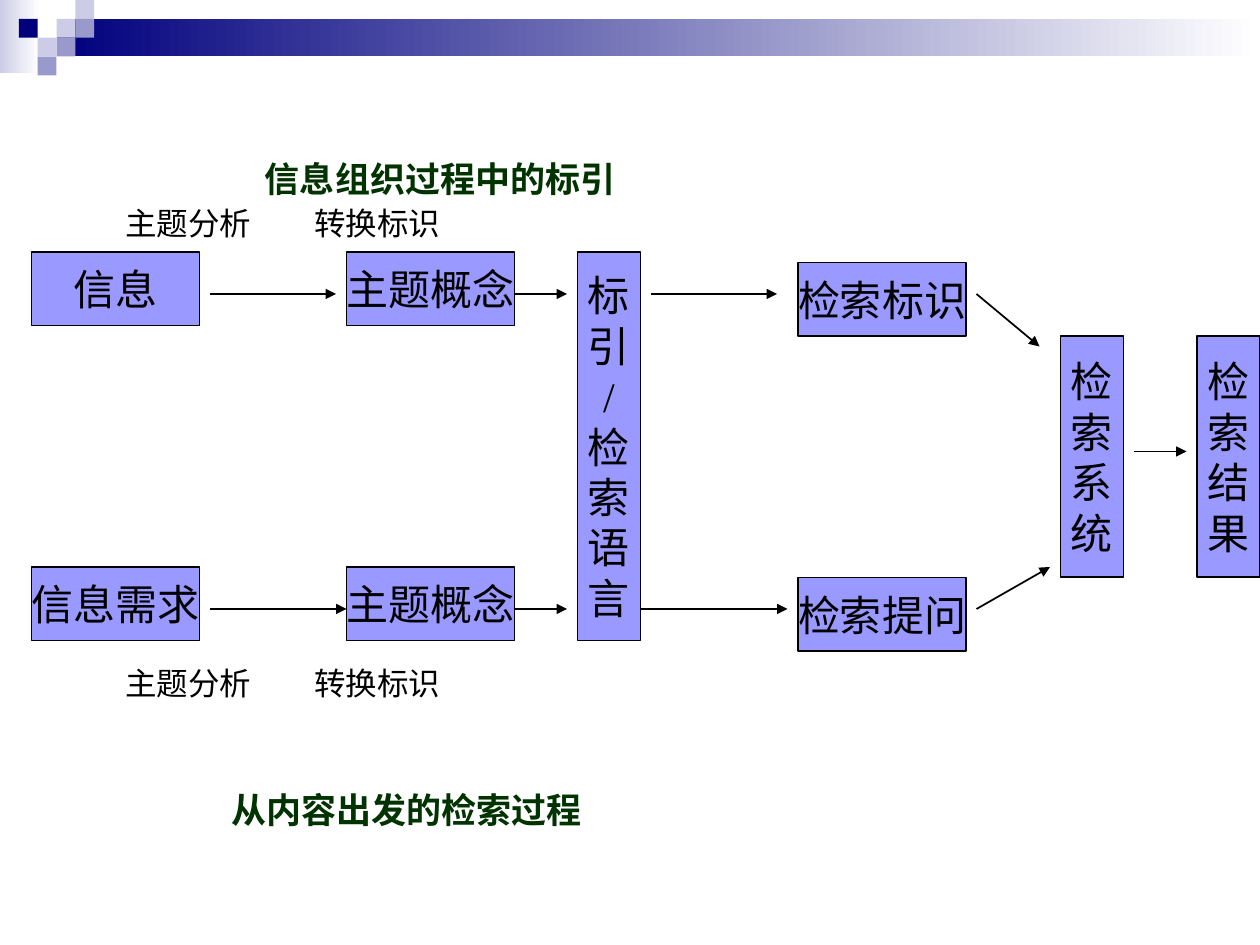
from dataclasses import dataclass

from lxml.etree import SubElement
from pptx import Presentation
from pptx.dml.color import RGBColor
from pptx.enum.shapes import MSO_CONNECTOR, MSO_SHAPE
from pptx.enum.text import MSO_ANCHOR, MSO_AUTO_SIZE, PP_ALIGN
from pptx.oxml.ns import qn
from pptx.util import Cm, Pt


@dataclass(frozen=True)
class Theme:
    navy: str = "00007D"
    lilac: str = "CCCCE6"
    violet: str = "9999CC"
    white: str = "FFFFFF"
    black: str = "000000"
    box: str = "9999FF"
    heading: str = "003300"
    body_font: str = "Arial"
    box_font: str = "Times New Roman"
    heading_size: int = 20
    label_size: int = 18
    box_size: int = 24
    line_width: int = 1


THEME = Theme()

# parts, is heading, indent in cm, tab in cm, space before in points
CAPTIONS = [
    (["信息组织过程中的标引"], True, 4.24, None, 0),
    (["主题分析", "转换标识"], False, 1.42, 6.81, 4.5),
    (["主题分析", "转换标识"], False, 1.42, 6.96, 243.5),
    (["从内容出发的检索过程"], True, 3.56, None, 52),
]
STEPS = [
    ("信息", 3, 24),
    ("主题概念", 33, 24),
    ("检索标识", 76, 25),
    ("检索提问", 76, 55),
    ("主题概念", 33, 54),
    ("信息需求", 3, 54),
]
COLUMNS = [
    ("标引/检索语言", 55, 24, 37),
    ("检索系统", 101, 32, 23),
    ("检索结果", 114, 32, 23),
]
ARROWS = [
    (20, 28, 32, 28), (49, 28, 54, 28), (62, 28, 74, 28),
    (20, 58, 33, 58), (49, 58, 54, 58), (61, 58, 75, 58),
    (93, 58, 100, 54), (93, 28, 99, 33), (108, 43, 113, 43),
]
BANDS = [
    (0, 0, 0.79, 1.47, THEME.lilac),
    (1.14, 0.38, 24.26, 0.76, THEME.navy),
]
SQUARES = [
    (3, 1, THEME.lilac), (4, 0, THEME.lilac), (4, 1, THEME.violet),
    (2, 2, THEME.lilac), (1, 1, THEME.navy), (3, 2, THEME.violet),
    (2, 3, THEME.violet),
]
SQUARE = 0.38


def grid(n):
    return Cm(n * 2.54 / 12)


def color(value):
    return RGBColor.from_string(value)


def add_text(paragraph, text, font, size, ink, bold=False):
    run = paragraph.add_run()
    run.text = text
    run.font.name = font
    run.font.size = Pt(size)
    run.font.bold = bold
    run.font.color.rgb = color(ink)


def add_rect(slide, left, top, width, height):
    rect = slide.shapes.add_shape(MSO_SHAPE.RECTANGLE, left, top, width, height)
    rect.shadow.inherit = False
    return rect


def add_header(slide):
    for left, top, width, height, tint in BANDS:
        band = add_rect(slide, Cm(left), Cm(top), Cm(width), Cm(height))
        band.line.fill.background()
        band.fill.gradient()
        band.fill.gradient_angle = 0
        for stop, shade in zip(band.fill.gradient_stops, (tint, THEME.white)):
            stop.color.rgb = color(shade)
    for column, row, tint in SQUARES:
        square = add_rect(slide, Cm(column * SQUARE), Cm(row * SQUARE),
                          Cm(SQUARE), Cm(SQUARE))
        square.line.fill.background()
        square.fill.solid()
        square.fill.fore_color.rgb = color(tint)


def add_captions(body):
    body.left, body.top, body.width, body.height = map(grid, (4, 12, 113, 73))
    frame = body.text_frame
    frame.auto_size = MSO_AUTO_SIZE.NONE
    frame.word_wrap = True
    frame.vertical_anchor = MSO_ANCHOR.TOP
    frame.margin_top = Cm(0.74)
    for index, (parts, is_heading, indent, tab, before) in enumerate(CAPTIONS):
        caption = frame.add_paragraph() if index else frame.paragraphs[0]
        properties = caption._p.get_or_add_pPr()
        properties.set("marL", str(Cm(indent)))
        properties.set("indent", "0")
        SubElement(properties, qn("a:buNone"))
        if tab:
            tabs = SubElement(properties, qn("a:tabLst"))
            SubElement(tabs, qn("a:tab"), pos=str(Cm(tab)), algn="l")
        caption.alignment = PP_ALIGN.LEFT
        caption.line_spacing = 0.9
        caption.space_before = Pt(before)
        caption.space_after = Pt(0)
        size = THEME.heading_size if is_heading else THEME.label_size
        ink = THEME.heading if is_heading else THEME.black
        add_text(caption, "\t".join(parts), THEME.body_font, size, ink, is_heading)


def add_box(slide, lines, left, top, width, height):
    box = add_rect(slide, *map(grid, (left, top, width, height)))
    box.fill.solid()
    box.fill.fore_color.rgb = color(THEME.box)
    box.line.color.rgb = color(THEME.black)
    box.line.width = Pt(THEME.line_width)
    frame = box.text_frame
    frame.word_wrap = False
    frame.vertical_anchor = MSO_ANCHOR.MIDDLE
    for index, line in enumerate(lines):
        paragraph = frame.add_paragraph() if index else frame.paragraphs[0]
        paragraph.alignment = PP_ALIGN.CENTER
        add_text(paragraph, line, THEME.box_font, THEME.box_size, THEME.black)


def add_arrow(slide, ends):
    arrow = slide.shapes.add_connector(MSO_CONNECTOR.STRAIGHT, *map(grid, ends))
    arrow.line.color.rgb = color(THEME.black)
    arrow.line.width = Pt(THEME.line_width)
    SubElement(arrow.line._get_or_add_ln(), qn("a:tailEnd"), type="triangle")
    SubElement(arrow._element.spPr, qn("a:effectLst"))


def main():
    deck = Presentation()
    deck.slide_width, deck.slide_height = Cm(25.4), Cm(19.05)
    slide = deck.slides.add_slide(deck.slide_layouts[1])
    title = slide.shapes.title._element
    title.getparent().remove(title)
    add_captions(slide.placeholders[1])
    add_header(slide)
    for step, left, top in STEPS:
        add_box(slide, [step], left, top, 16, 7)
    for column, left, top, height in COLUMNS:
        add_box(slide, list(column), left, top, 6, height)
    for ends in ARROWS:
        add_arrow(slide, ends)
    deck.save("out.pptx")


if __name__ == "__main__":
    main()
